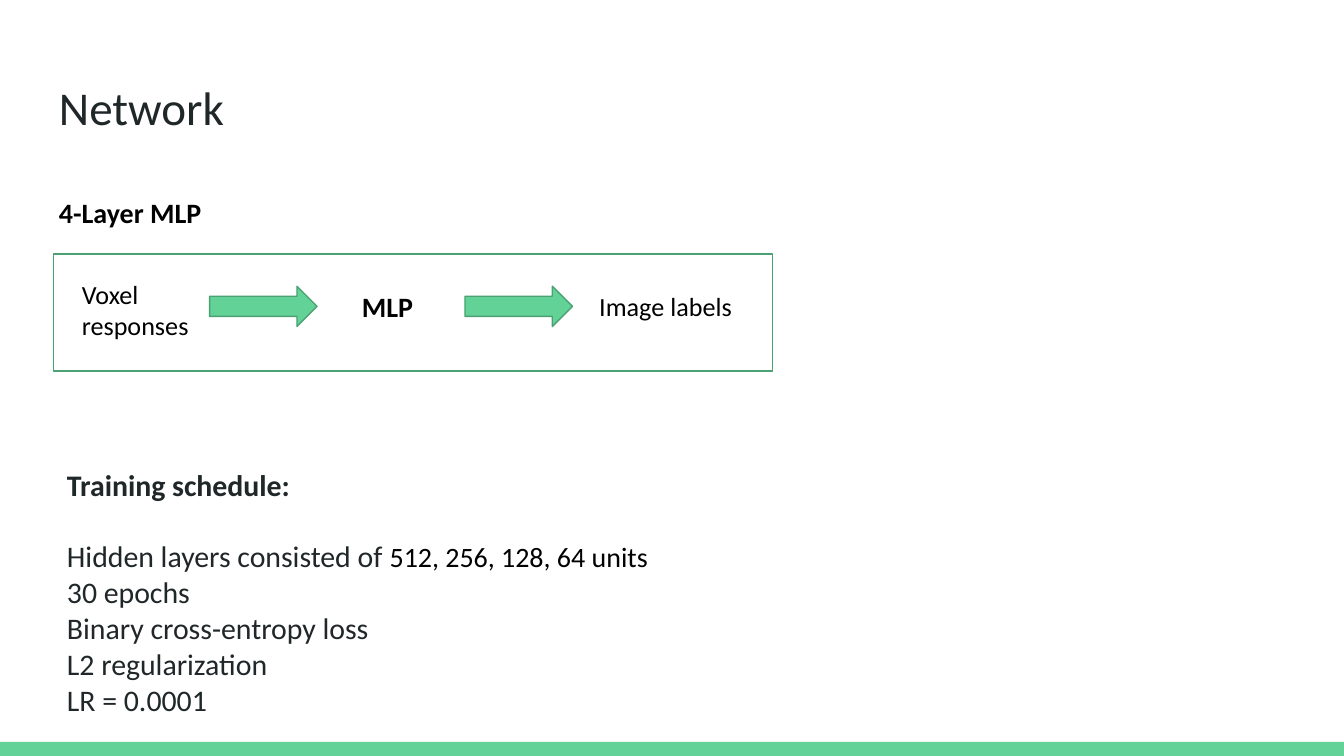
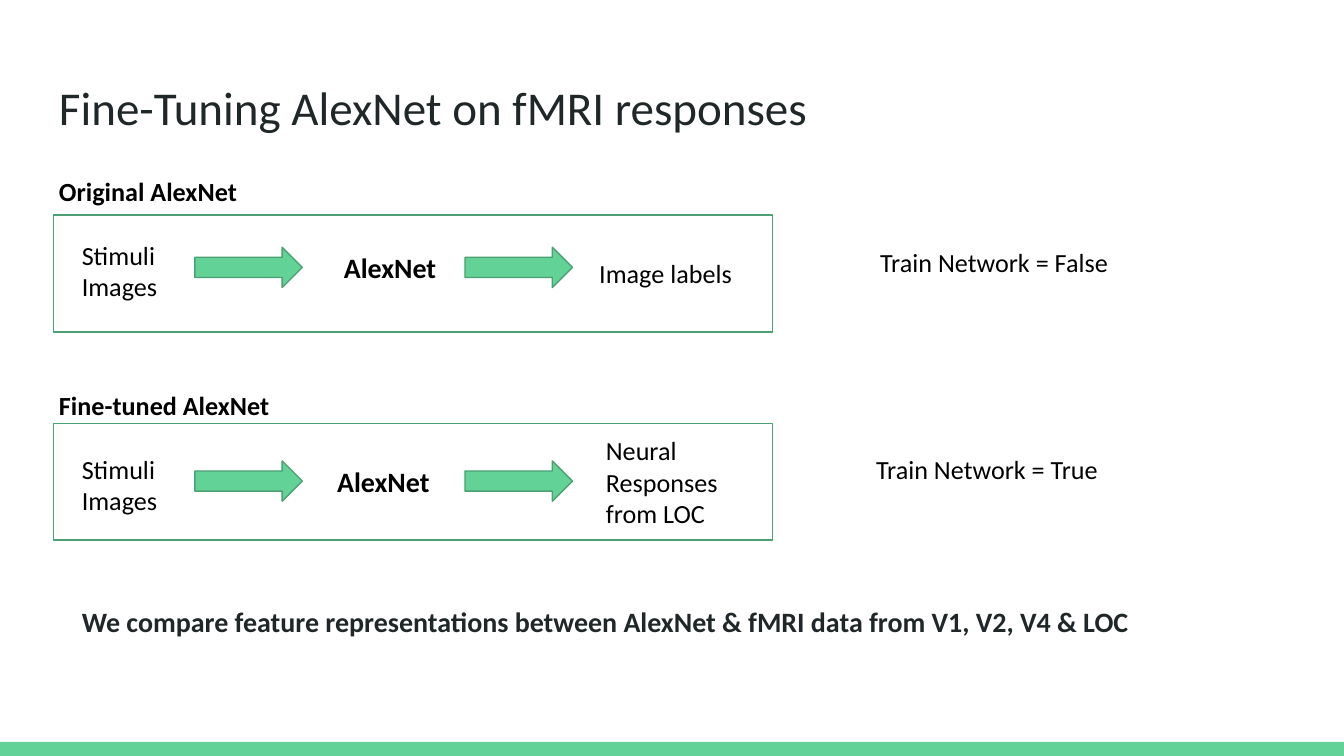
import pptx
import pptx.util
import pptx.dml.color
import pptx.enum.shapes
import pptx.enum.text

PX = 4572  # 200 px to the inch
WIDTH, HEIGHT = 2000, 1125
FONT = "Calibri"
GREEN, EDGE, DARK, BLACK = "63D297", "4BA173", "202729", "000000"
SHAPE = pptx.enum.shapes.MSO_SHAPE
ANCHOR = pptx.enum.text.MSO_ANCHOR


def color(text):
    return pptx.dml.color.RGBColor.from_string(text)


def scale(box):
    return [n * PX for n in box]


def style(font, size, tint, bold=False):
    font.name = FONT
    font.size = pptx.util.Pt(size)
    font.bold = bold
    font.color.rgb = color(tint)


def write(slide, box, lines, size=14, tint=BLACK, bold=False, anchor=ANCHOR.TOP):
    """Add a text box with one paragraph for each line; return its paragraphs."""
    frame = slide.shapes.add_textbox(*scale(box)).text_frame
    frame.word_wrap = True
    frame.vertical_anchor = anchor
    frame.margin_left = frame.margin_right = 20 * PX
    frame.margin_top = frame.margin_bottom = 20 * PX
    for i, line in enumerate(lines):
        para = frame.paragraphs[0] if i == 0 else frame.add_paragraph()
        para.text = line
        style(para.font, size, tint, bold)
    return frame.paragraphs


def draw(slide, kind, box, fill=None, line=None):
    shape = slide.shapes.add_shape(kind, *scale(box))
    shape.shadow.inherit = False
    if fill:
        shape.fill.solid()
        shape.fill.fore_color.rgb = color(fill)
    else:
        shape.fill.background()
    if line:
        shape.line.color.rgb = color(line)
        shape.line.width = pptx.util.Pt(0.75)
    else:
        shape.line.fill.background()


def start(deck, title):
    """Add a slide with the bottom band and the title."""
    slide = deck.slides.add_slide(deck.slide_layouts[6])
    draw(slide, SHAPE.RECTANGLE, (0, HEIGHT - 21, WIDTH, 21), GREEN)
    write(slide, (68, 97, 1864, 126), [title], 25.2, DARK)
    return slide


def flow(slide, box, source, model, target, first, middle, last, drop=0):
    """Draw a framed chain of three labels.

    first is the left of the first arrow, middle the left and width of the
    model, last the box of the target, all relative to the frame. drop moves
    the source, model and arrows down.
    """
    x, y, _, _ = box
    row = y + drop
    draw(slide, SHAPE.RECTANGLE, box, line=EDGE)
    write(slide, (x + 22, row + 16, 222, 126), [source])
    write(slide, (x + middle[0], row + 33, middle[1], 90), [model], 15, bold=True)
    for left in (first, 612):
        draw(slide, SHAPE.RIGHT_ARROW, (x + left, row + 48, 160, 60), GREEN, EDGE)
    left, top, wide, high = last
    write(slide, (x + left, y + top, wide, high), [target], anchor=ANCHOR.MIDDLE)


def train(slide, box):
    """List the training schedule."""
    lines = ["Training schedule:", "Hidden layers consisted of ", "30 epochs",
             "Binary cross-entropy loss", "L2 regularization", "LR = 0.0001"]
    paras = write(slide, box, lines, 16, DARK)
    paras[0].font.bold = True
    paras[1].space_before = pptx.util.Pt(19.2)
    units = paras[1].add_run()
    units.text = "512, 256, 128, 64 units"
    style(units.font, 15, BLACK)


def network(deck):
    slide = start(deck, "Network")
    train(slide, (80, 674, 1070, 300))
    flow(slide, (80, 378, 1070, 174), "Voxel responses", "MLP", "Image labels",
         232, (439, 126), (792, 34, 256, 88))
    write(slide, (68, 271, 824, 60), ["4-Layer MLP"], 15, bold=True)


def tuning(deck):
    slide = start(deck, "Fine-Tuning AlexNet on fMRI responses")
    flow(slide, (80, 320, 1070, 174), "Stimuli Images", "AlexNet", "Image labels",
         210, (412, 330), (792, 43, 256, 88))
    flow(slide, (80, 630, 1070, 174), "Stimuli Images", "AlexNet",
         "Neural Responses from LOC", 210, (402, 330), (802, -4, 268, 182), 8)
    for top, name in ((241, "Original AlexNet"), (560, "Fine-tuned AlexNet")):
        write(slide, (68, top, 392, 60), [name], bold=True)
    for left, top, state in ((1290, 347, "False"), (1284, 654, "True")):
        write(slide, (left, top, 422, 88), ["Train Network = " + state])
    write(slide, (102, 880, 1758, 112),
          ["We compare feature representations between AlexNet & fMRI data "
           "from V1, V2, V4 & LOC"], 15, DARK, True)


def main():
    deck = pptx.Presentation()
    deck.slide_width, deck.slide_height = scale((WIDTH, HEIGHT))
    network(deck)
    tuning(deck)
    deck.save("out.pptx")


if __name__ == "__main__":
    main()
